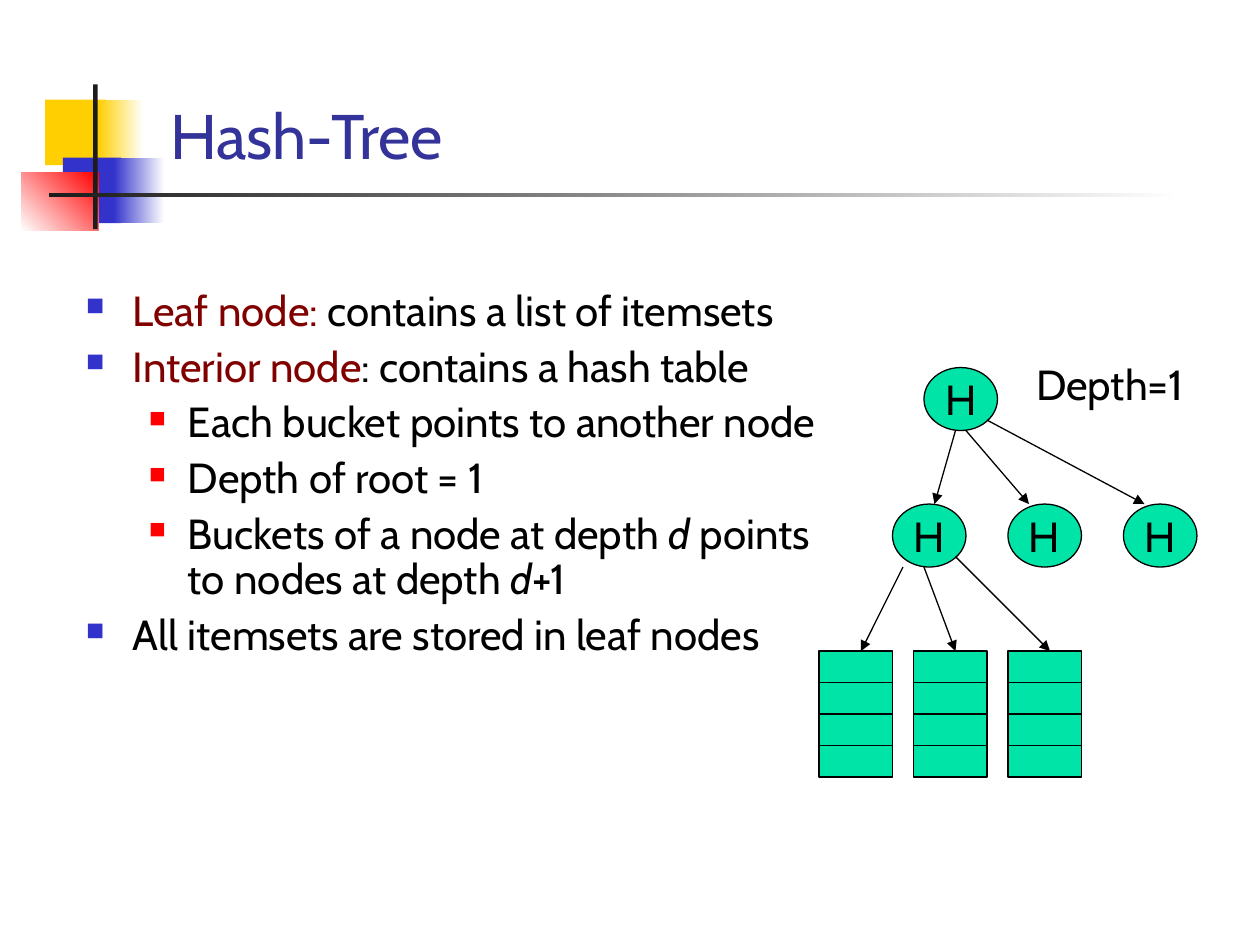
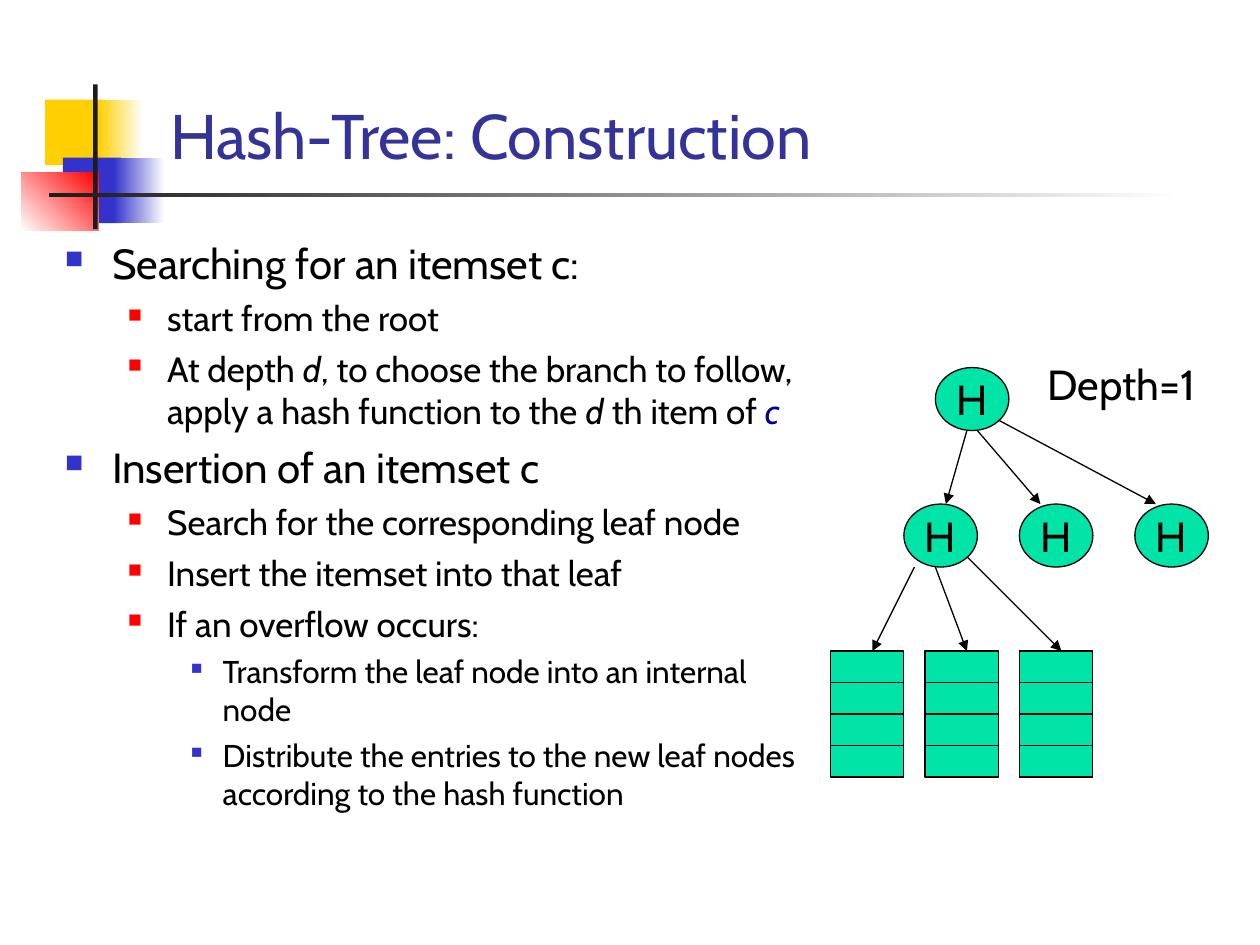
from pptx import Presentation
from pptx.util import Cm, Pt
from pptx.dml.color import RGBColor
from pptx.enum.shapes import MSO_SHAPE, MSO_CONNECTOR
from pptx.enum.text import MSO_ANCHOR, PP_ALIGN
from pptx.oxml.ns import qn
from lxml.etree import SubElement

FONT = "Cabin"
BLACK, WHITE, BAR = "000000", "FFFFFF", "1C1C1C"
YELLOW, BLUE, RED = "FFCF01", "3333CC", "FF0000"
TITLE, TERM, ITEM, NODE = "333399", "800000", "000099", "00E4A8"

# Bullet level: left margin and hanging indent in cm, colour, size in percent
LEVELS = [(0.95, 0.95, BLUE, 60), (2.06, 0.79, RED, 55), (3.18, 0.64, BLUE, 50)]

# Tree diagram: every length is a multiple of this grid unit
UNIT = 2.54 / 12
NODE_W, NODE_H, LEAF_H, LEAF_ROWS = 7, 6, 12, 4
NODES = [(10, 0), (7, 13), (18, 13), (29, 13)]
LEAF_TOP, LEAF_STEP, LEAF_COUNT = 27, 9, 3
ARROWS = [(13, 6, 11, 13), (14, 6, 20, 13), (16, 5, 31, 13),
          (8, 19, 4, 27), (10, 19, 13, 27), (13, 18, 22, 27)]


def color(value):
    return RGBColor.from_string(value)


def add_run(p, text, size, ink=BLACK, italic=False):
    r = p.add_run()
    r.text = text
    r.font.name, r.font.size, r.font.italic = FONT, Pt(size), italic
    r.font.color.rgb = color(ink)


def add_text_box(s, x, y, w, h, wrap=True):
    tf = s.shapes.add_textbox(Cm(x), Cm(y), Cm(w), Cm(h)).text_frame
    tf.word_wrap = wrap
    return tf


def add_box(s, kind, x, y, w, h, fill, outline=None):
    sp = s.shapes.add_shape(kind, Cm(x), Cm(y), Cm(w), Cm(h))
    sp.shadow.inherit = False
    sp.fill.solid()
    sp.fill.fore_color.rgb = color(fill)
    if outline:
        sp.line.color.rgb = color(outline)
        sp.line.width = Pt(0.75)
    else:
        sp.line.fill.background()
    return sp


def add_fade(s, x, y, w, h, start, end, angle=0):
    fill = add_box(s, MSO_SHAPE.RECTANGLE, x, y, w, h, start).fill
    fill.gradient()
    fill.gradient_angle = angle
    for stop, value in zip(fill.gradient_stops, (start, end)):
        stop.color.rgb = color(value)


def add_line(s, x1, y1, x2, y2, arrow=False):
    line = s.shapes.add_connector(MSO_CONNECTOR.STRAIGHT, Cm(x1), Cm(y1), Cm(x2), Cm(y2))
    line.line.color.rgb = color(BLACK)
    line.line.width = Pt(0.75)
    props = line._element.spPr
    if arrow:
        SubElement(props.find(qn("a:ln")), qn("a:tailEnd"), type="triangle")
    SubElement(props, qn("a:effectLst"))


def add_header(s, title):
    # Coloured squares, each a solid part with a fading one beside it
    add_box(s, MSO_SHAPE.RECTANGLE, 0.91, 2.01, 1.22, 1.32, YELLOW)
    add_fade(s, 1.98, 2.01, 0.91, 1.32, YELLOW, WHITE)
    add_box(s, MSO_SHAPE.RECTANGLE, 1.27, 3.18, 1.17, 1.32, BLUE)
    add_fade(s, 2.29, 3.18, 1.02, 1.32, BLUE, WHITE)
    add_fade(s, 0.43, 3.48, 1.55, 1.17, WHITE, RED, angle=45)
    # Crossing bars
    add_box(s, MSO_SHAPE.RECTANGLE, 1.88, 1.7, 0.09, 2.92, BAR)
    add_fade(s, 0.99, 3.89, 22.86, 0.09, BAR, WHITE)
    # Title
    tf = add_text_box(s, 3.18, 1.9, 21.64, 1.7)
    tf.vertical_anchor = MSO_ANCHOR.BOTTOM
    add_run(tf.paragraphs[0], title, 36, TITLE)


def set_bullet(p, level):
    margin, hang, ink, percent = LEVELS[level]
    props = p._p.get_or_add_pPr()
    props.set("marL", str(Cm(margin)))
    props.set("indent", str(-Cm(hang)))
    SubElement(SubElement(props, qn("a:buClr")), qn("a:srgbClr"), val=ink)
    SubElement(props, qn("a:buSzPct"), val=str(percent * 1000))
    SubElement(props, qn("a:buChar"), char="■")


def add_bullets(s, x, y, w, h, items, sizes, spacing=1.0):
    """Each item is its level followed by runs: text or (text, colour, italic)."""
    tf = add_text_box(s, x, y, w, h)
    for i, (level, *runs) in enumerate(items):
        p = tf.add_paragraph() if i else tf.paragraphs[0]
        p.level = level
        set_bullet(p, level)
        p.line_spacing = spacing
        if i:
            p.space_before = Pt(sizes[level] / 4)
        for run in runs:
            text, *style = (run,) if isinstance(run, str) else run
            add_run(p, text, sizes[level], *style)


def add_tree(s, left, top):
    def place(x, y, *size):
        return (left + x * UNIT, top + y * UNIT, *(v * UNIT for v in size))

    def link(x1, y1, x2, y2, arrow=False):
        add_line(s, *place(x1, y1), *place(x2, y2), arrow)

    # Hash nodes
    for x, y in NODES:
        tf = add_box(s, MSO_SHAPE.OVAL, *place(x, y, NODE_W, NODE_H), NODE, BLACK).text_frame
        tf.word_wrap = False
        tf.vertical_anchor = MSO_ANCHOR.MIDDLE
        p = tf.paragraphs[0]
        p.alignment = PP_ALIGN.CENTER
        add_run(p, "H", 24)
    for ends in ARROWS:
        link(*ends, arrow=True)
    # Leaf nodes with their rows
    for x in range(0, LEAF_COUNT * LEAF_STEP, LEAF_STEP):
        add_box(s, MSO_SHAPE.RECTANGLE, *place(x, LEAF_TOP, NODE_W, LEAF_H), NODE, BLACK)
        for row in range(1, LEAF_ROWS):
            y = LEAF_TOP + row * LEAF_H / LEAF_ROWS
            link(x, y, x + NODE_W, y)
    # Depth label
    tf = add_text_box(s, *place(19.5, -1.5, 18.5, 6), wrap=False)
    add_run(tf.paragraphs[0], "Depth=1", 24)


def add_structure_slide(s):
    d = ("d", BLACK, True)
    add_header(s, "Hash-Tree")
    add_bullets(s, 1.48, 5.72, 15.66, 10.37, [
        (0, ("Leaf node:", TERM), " contains a list of itemsets"),
        (0, ("Interior node", TERM), ": contains a hash table"),
        (1, "Each bucket points to another node"),
        (1, "Depth of root = 1"),
        (1, "Buckets of a node at depth ", d, " points to nodes at depth ", d, "+1"),
        (0, "All itemsets are stored in leaf nodes"),
    ], sizes=(24, 24), spacing=0.9)
    add_tree(s, 16.51, 7.41)


def add_construction_slide(s):
    d = ("d", BLACK, True)
    add_header(s, "Hash-Tree: Construction")
    add_bullets(s, 1.06, 4.66, 15.24, 13.76, [
        (0, "Searching for an itemset c:"),
        (1, "start from the root"),
        (1, "At depth ", d, ", to choose the branch to follow, apply a hash function to the ",
         d, " th item of ", ("c", ITEM, True)),
        (0, "Insertion of an itemset c"),
        (1, "Search for the corresponding leaf node"),
        (1, "Insert the itemset into that leaf"),
        (1, "If an overflow occurs:"),
        (2, "Transform the leaf node into an internal node"),
        (2, "Distribute the entries to the new leaf nodes according to the hash function"),
    ], sizes=(24, 20, 18))
    add_tree(s, 16.74, 7.41)


def main():
    prs = Presentation()
    prs.slide_width, prs.slide_height = Cm(25.4), Cm(19.05)
    for build in (add_structure_slide, add_construction_slide):
        build(prs.slides.add_slide(prs.slide_layouts[6]))
    prs.save("out.pptx")


if __name__ == "__main__":
    main()
